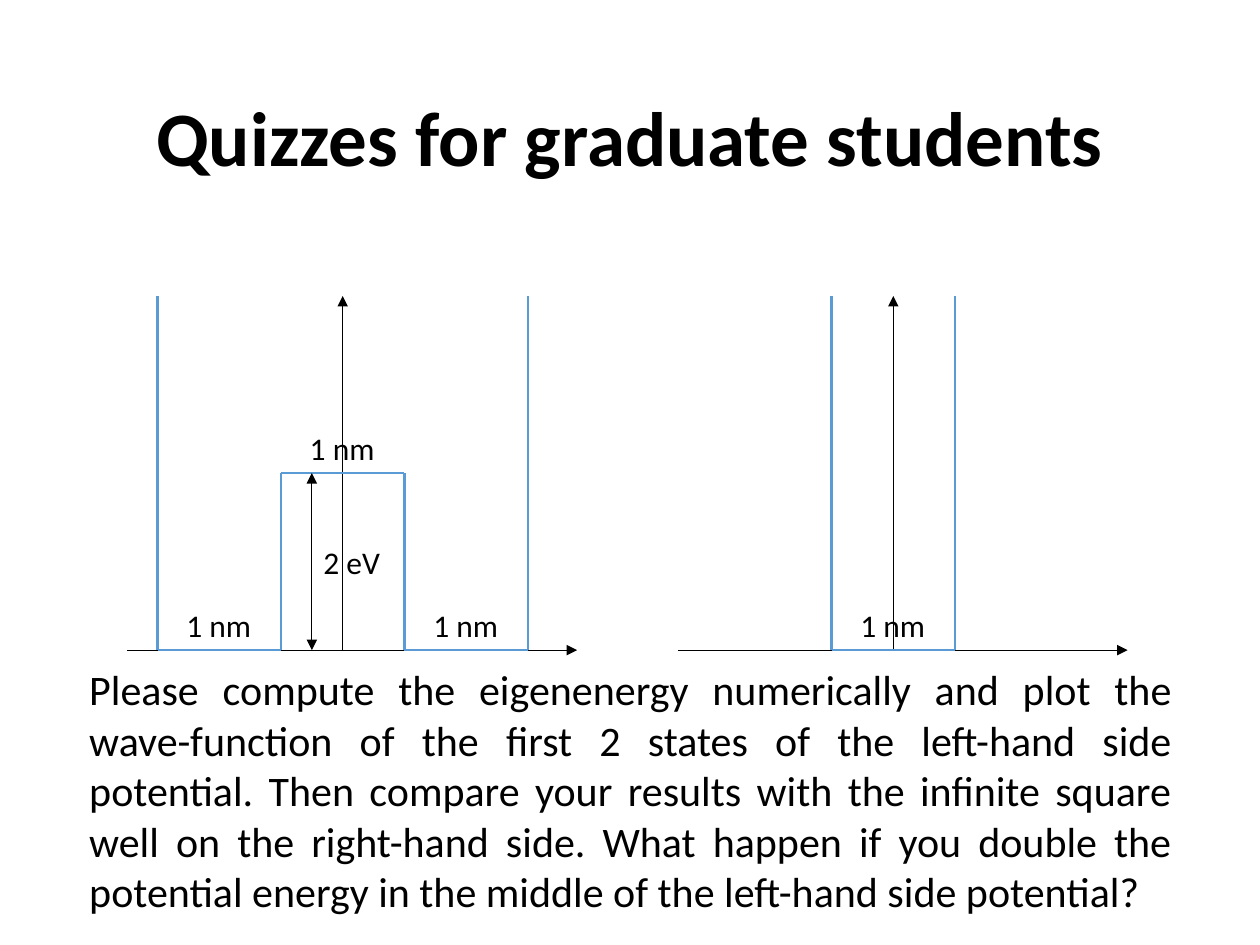
from lxml import etree
from pptx import Presentation, util as u
from pptx.dml.color import RGBColor
from pptx.enum import shapes, text
from pptx.oxml.ns import qn

TITLE = "Quizzes for graduate students"
TASK = ("Please compute the eigenenergy numerically and plot the wave-function of "
        "the first 2 states of the left-hand side potential. Then compare your "
        "results with the infinite square well on the right-hand side. What happen "
        "if you double the potential energy in the middle of the left-hand side "
        "potential?")
BLACK, BLUE = "000000", "5B9BD5"
NM = 0.98               # inches per nanometre
FLOOR, TOP = 5.16, 2.35
STEP = (FLOOR + TOP) / 2  # the barrier reaches half the height
LABEL = 0.4             # label height

# Each well: centre in inches, outline as (nm from centre, height),
# labels as (words, nm from centre, height of the label's foot, width)
WELLS = [
    (2.72,
     [(-1.5, TOP), (-1.5, FLOOR), (-0.5, FLOOR), (-0.5, STEP),
      (0.5, STEP), (0.5, FLOOR), (1.5, FLOOR), (1.5, TOP)],
     [("1 nm", 1, FLOOR, 0.72), ("1 nm", -1, FLOOR, 0.72),
      ("1 nm", 0, STEP, 0.72), ("2 eV", 0.08, 4.66, 0.66)]),
    (7.09,
     [(-0.5, TOP), (-0.5, FLOOR), (0.5, FLOOR), (0.5, TOP)],
     [("1 nm", 0, FLOOR, 0.72)]),
]

deck = Presentation()
deck.slide_width, deck.slide_height = u.Inches(10), u.Inches(7.5)
slide = deck.slides.add_slide(deck.slide_layouts[6])


def tint(code):
    return RGBColor.from_string(code)


def line(start, end, color, width, ends=()):
    """Straight line; ends lists which of headEnd and tailEnd are arrows."""
    item = slide.shapes.add_connector(
        shapes.MSO_CONNECTOR.STRAIGHT, *[u.Inches(v) for v in (*start, *end)])
    item.line.color.rgb = tint(color)
    item.line.width = u.Pt(width)
    stroke = item.line._get_or_add_ln()
    for end_tag in ends:
        etree.SubElement(stroke, qn("a:" + end_tag), type="triangle")
    etree.SubElement(item._element.spPr, qn("a:effectLst"))


def write(words, box, size, align, wrap=True, bold=False, space=1.0,
          anchor=text.MSO_ANCHOR.TOP):
    item = slide.shapes.add_textbox(*[u.Inches(v) for v in box])
    frame = item.text_frame
    frame.word_wrap = wrap
    frame.vertical_anchor = anchor
    para = frame.paragraphs[0]
    para.alignment, para.line_spacing = align, space
    run = para.add_run()
    run.text = words
    run.font.name, run.font.size, run.font.bold = "Calibri", u.Pt(size), bold
    run.font.color.rgb = tint(BLACK)


write(TITLE, (0.69, 0.4, 8.62, 1.45), 44, text.PP_ALIGN.CENTER, bold=True,
      space=0.9, anchor=text.MSO_ANCHOR.MIDDLE)
for mid, outline, _ in WELLS:
    line((mid - 1.71, FLOOR), (mid + 1.86, FLOOR), BLACK, 0.5, ["tailEnd"])
    line((mid, FLOOR), (mid, TOP), BLACK, 0.5, ["tailEnd"])
    spots = [(mid + x * NM, y) for x, y in outline]
    for start, end in zip(spots, spots[1:]):
        line(start, end, BLUE, 1.5)

left = WELLS[0][0] - NM / 4
line((left, STEP), (left, FLOOR), BLACK, 0.5, ["headEnd", "tailEnd"])
write(TASK, (0.61, 5.22, 8.79, 2.12), 24, text.PP_ALIGN.JUSTIFY)
for mid, _, labels in WELLS:
    for words, x, foot, wide in labels:
        write(words, (mid + x * NM - wide / 2, foot - LABEL, wide, LABEL), 18,
              text.PP_ALIGN.LEFT, wrap=False)

deck.save("out.pptx")
